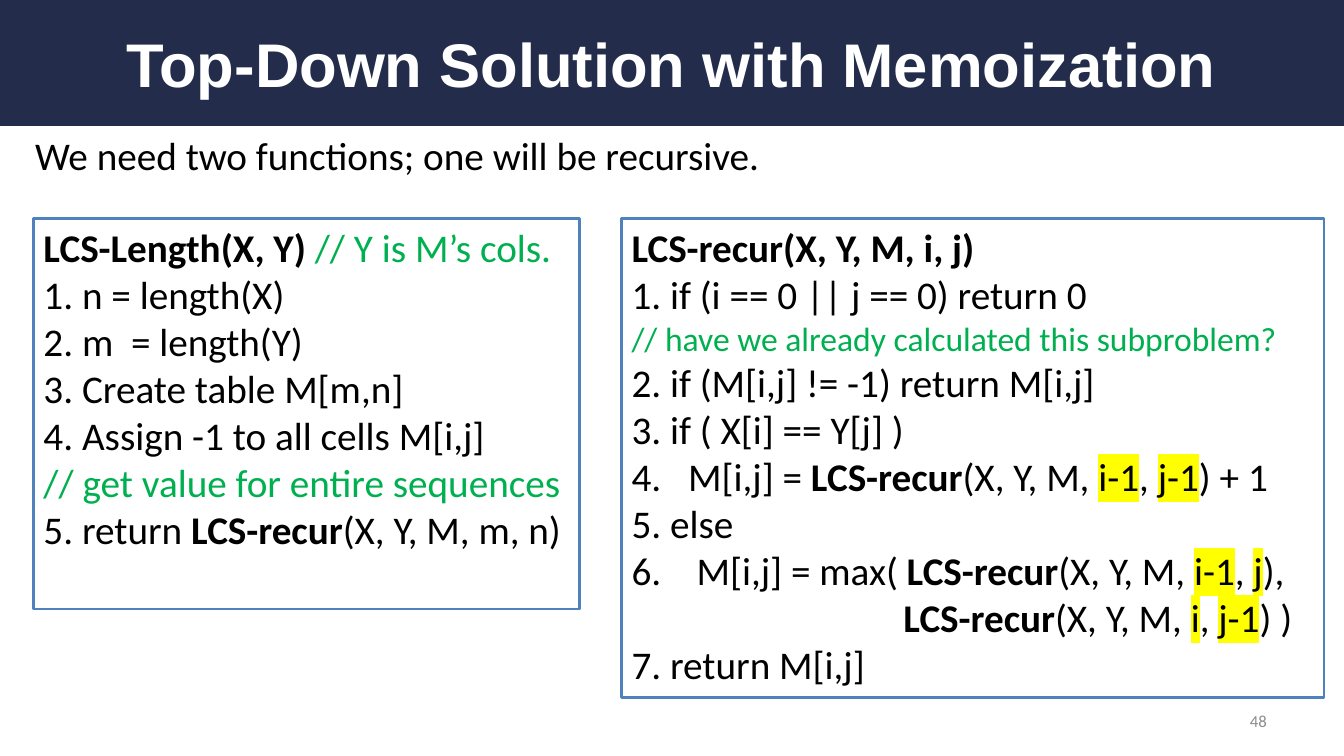
import dataclasses
import typing

import lxml.etree
import pptx
import pptx.dml.color
import pptx.enum.shapes
import pptx.enum.text
import pptx.oxml.ns
import pptx.util

EMU_PER_PX = 9525
Align = pptx.enum.text.PP_ALIGN
Anchor = pptx.enum.text.MSO_ANCHOR


@dataclasses.dataclass(frozen=True)
class Theme:
    navy: str = "232D4B"
    white: str = "FFFFFF"
    black: str = "000000"
    green: str = "00B050"
    grey: str = "8C8C8C"
    border: str = "4F81BD"
    yellow: str = "FFFF00"
    heading_font: str = "Arial"
    body_font: str = "Calibri"
    heading_size: int = 44
    body_size: int = 28
    remark_size: int = 24
    number_size: int = 12
    border_width: int = 2


THEME = Theme()


@dataclasses.dataclass(frozen=True)
class Span:
    text: str
    bold: bool = False
    colour: str = THEME.black
    size: int = THEME.body_size
    font: str = THEME.body_font
    marked: bool = False


@dataclasses.dataclass(frozen=True)
class Line:
    spans: typing.Sequence[Span]
    indent: int = 0
    number: typing.Optional[int] = None


@dataclasses.dataclass(frozen=True)
class Area:
    left: int
    top: int
    width: int
    height: int


@dataclasses.dataclass(frozen=True)
class TextBlock:
    area: Area
    lines: typing.Sequence[Line]
    align: Align = Align.LEFT
    anchor: Anchor = Anchor.TOP
    wrap: bool = True
    bordered: bool = False


def px(length: int) -> pptx.util.Emu:
    return pptx.util.Emu(length * EMU_PER_PX)


def place(area: Area) -> typing.Tuple[pptx.util.Emu, ...]:
    return tuple(px(length) for length in dataclasses.astuple(area))


def rgb(colour: str) -> pptx.dml.color.RGBColor:
    return pptx.dml.color.RGBColor.from_string(colour)


def plain(text: str) -> Line:
    return Line([Span(text)])


def remark(text: str, size: int = THEME.body_size) -> Line:
    return Line([Span(text, colour=THEME.green, size=size)])


def recursive_call(row: str, column: str, ending: str,
                   row_marked: bool = True) -> typing.List[Span]:
    return [
        Span("LCS-recur", bold=True),
        Span("(X, Y, M, "),
        Span(row, marked=row_marked),
        Span(", "),
        Span(column, marked=True),
        Span(ending),
    ]


def add_span(para: typing.Any, span: Span) -> None:
    run = para.add_run()
    run.text = span.text
    run.font.size = pptx.util.Pt(span.size)
    run.font.bold = span.bold
    run.font.color.rgb = rgb(span.colour)
    run.font.name = span.font
    if span.marked:
        qn = pptx.oxml.ns.qn
        highlight = lxml.etree.Element(qn("a:highlight"))
        lxml.etree.SubElement(highlight, qn("a:srgbClr"), val=THEME.yellow)
        run.font._element.find(qn("a:latin")).addprevious(highlight)


def set_indent(para: typing.Any, line: Line) -> None:
    properties = para._p.get_or_add_pPr()
    properties.set("marL", str(px(line.indent)))
    if line.number is not None:
        properties.set("indent", str(-px(line.indent)))
        lxml.etree.SubElement(
            properties, pptx.oxml.ns.qn("a:buAutoNum"),
            type="arabicPeriod", startAt=str(line.number))


def add_block(page: typing.Any, block: TextBlock) -> None:
    box = page.shapes.add_textbox(*place(block.area))
    if block.bordered:
        box.line.color.rgb = rgb(THEME.border)
        box.line.width = pptx.util.Pt(THEME.border_width)
    frame = box.text_frame
    frame.word_wrap = block.wrap
    frame.vertical_anchor = block.anchor
    for index, line in enumerate(block.lines):
        para = frame.add_paragraph() if index else frame.paragraphs[0]
        para.alignment = block.align
        if line.indent:
            set_indent(para, line)
        for span in line.spans:
            add_span(para, span)


def add_banner(page: typing.Any, area: Area) -> None:
    banner = page.shapes.add_shape(
        pptx.enum.shapes.MSO_SHAPE.RECTANGLE, *place(area))
    banner.shadow.inherit = False
    banner.fill.solid()
    banner.fill.fore_color.rgb = rgb(THEME.navy)
    banner.line.fill.background()


TITLE = TextBlock(Area(64, 16, 1152, 88), [
    Line([Span("Top-Down Solution with Memoization", True, THEME.white,
               THEME.heading_size, THEME.heading_font)]),
], Align.CENTER, Anchor.MIDDLE)

PAGE_NUMBER = TextBlock(Area(918, 667, 298, 38), [
    Line([Span("48", colour=THEME.grey, size=THEME.number_size)]),
], Align.RIGHT, Anchor.MIDDLE)

LENGTH_FUNCTION = TextBlock(Area(32, 208, 520, 372), [
    Line([Span("LCS-Length(X, Y)", bold=True),
          Span(" // Y is M’s cols.", colour=THEME.green)]),
    plain("1. n = length(X)"),
    plain("2. m  = length(Y)"),
    plain("3. Create table M[m,n]"),
    plain("4. Assign -1 to all cells M[i,j]"),
    remark("// get value for entire sequences"),
    Line([Span("5. return "), Span("LCS-recur", bold=True),
          Span("(X, Y, M, m, n)")]),
], bordered=True)

RECURSIVE_FUNCTION = TextBlock(Area(592, 208, 669, 456), [
    Line([Span("LCS-recur(X, Y, M, i, j)", bold=True)]),
    plain("1. if (i == 0 || j == 0) return 0"),
    remark("// have we already calculated this subproblem?", THEME.remark_size),
    plain("2. if (M[i,j] != -1) return M[i,j]"),
    plain("3. if ( X[i] == Y[j] )"),
    Line([Span("M[i,j] = "), *recursive_call("i-1", "j-1", ") + 1")],
         indent=54, number=4),
    plain("5. else"),
    Line([Span("6.    M[i,j] = max( "), *recursive_call("i-1", "j", "),")]),
    Line(recursive_call("i", "j-1", ") )"), indent=259),
    plain("7. return M[i,j]"),
], bordered=True)

INTRODUCTION = TextBlock(Area(24, 120, 717, 55), [
    plain("We need two functions; one will be recursive."),
], wrap=False)


def main() -> None:
    deck = pptx.Presentation()
    deck.slide_width, deck.slide_height = px(1280), px(720)
    page = deck.slides.add_slide(deck.slide_layouts[6])
    add_banner(page, Area(0, 0, 1280, 120))
    for block in (TITLE, PAGE_NUMBER, LENGTH_FUNCTION, RECURSIVE_FUNCTION,
                  INTRODUCTION):
        add_block(page, block)
    deck.save("out.pptx")


if __name__ == "__main__":
    main()
